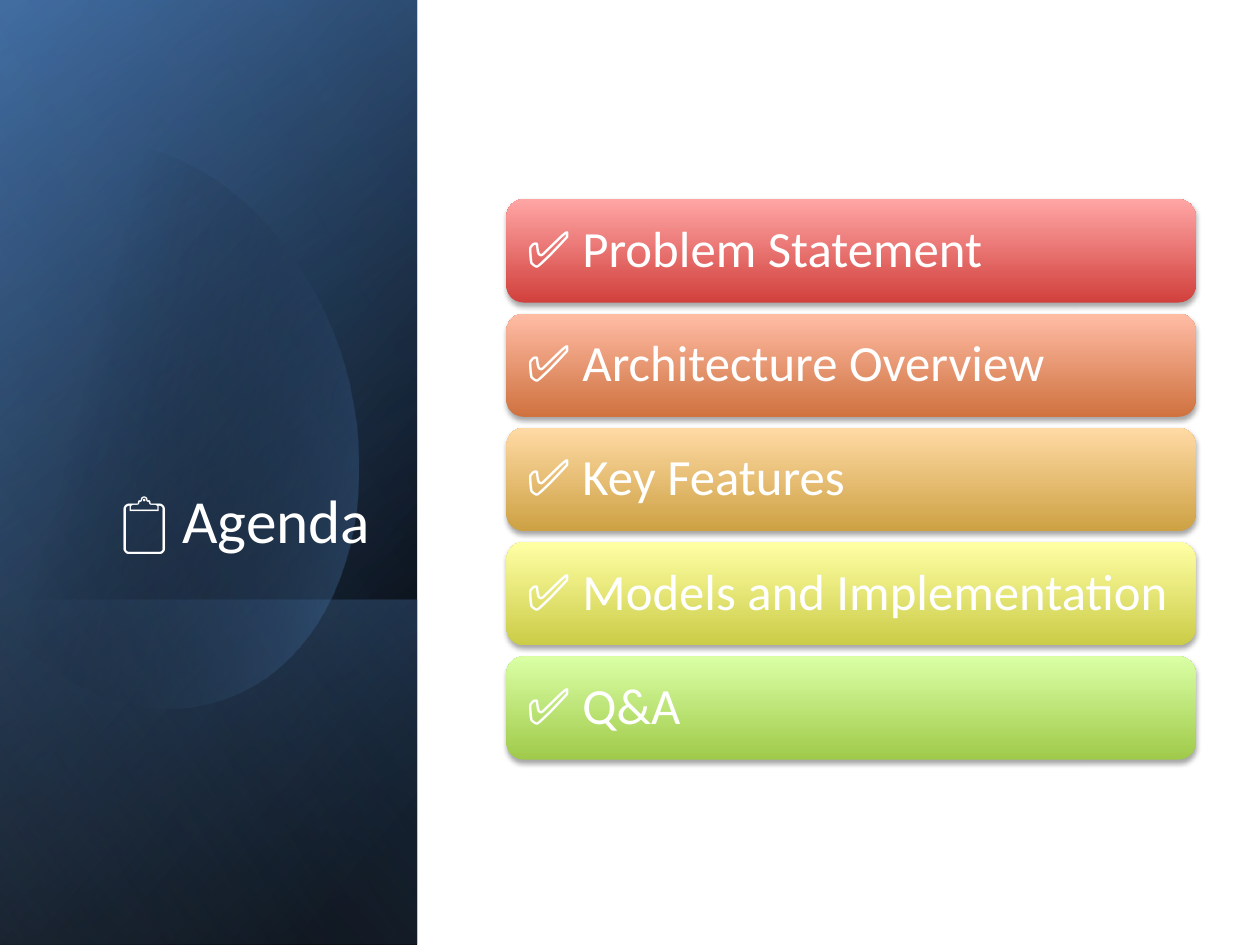
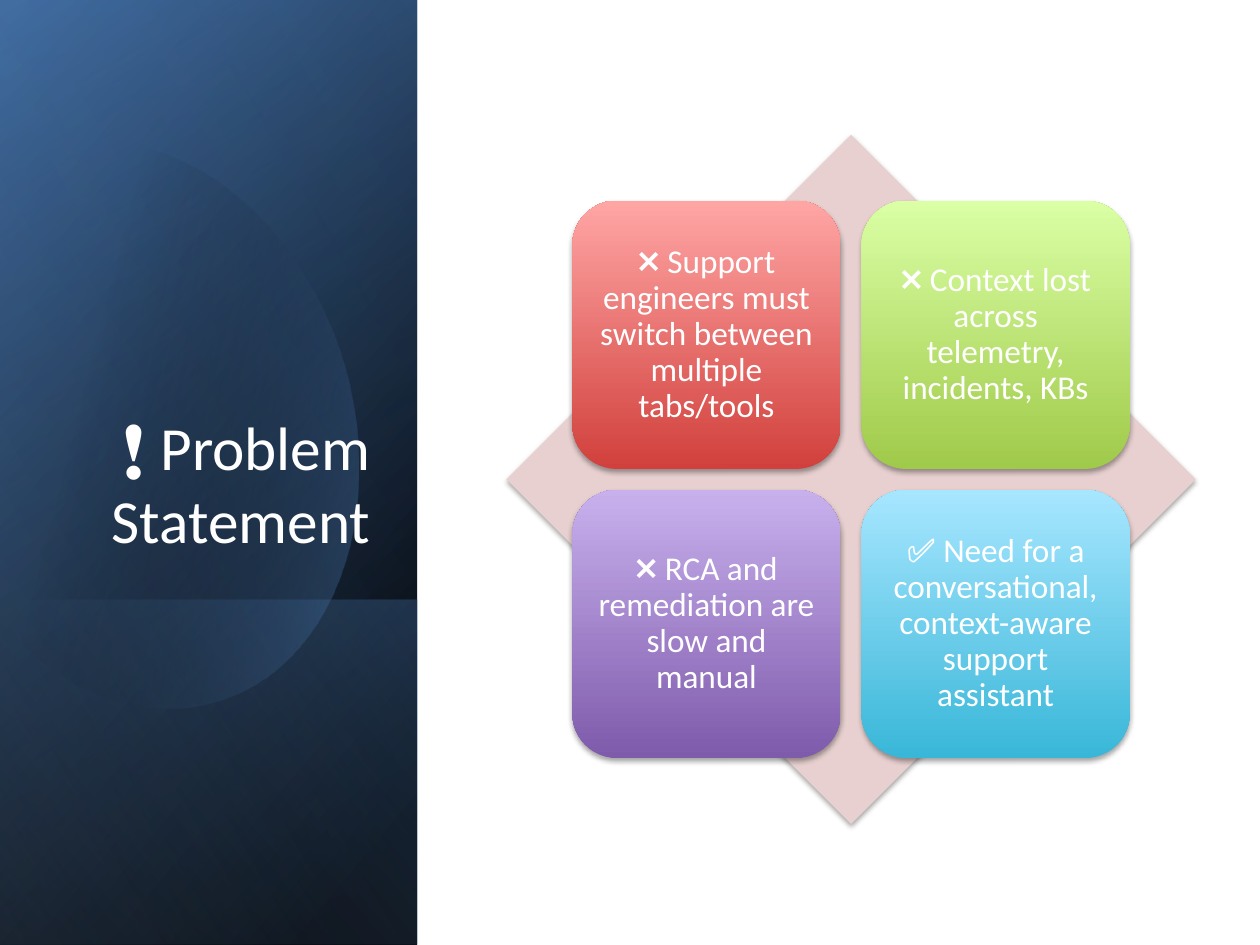
from dataclasses import dataclass
from typing import Any, Iterator, NamedTuple

from lxml.etree import SubElement as Sub
from pptx import Presentation
from pptx.dml.color import RGBColor as Rgb
from pptx.enum.shapes import MSO_SHAPE as Shp
from pptx.enum.text import MSO_ANCHOR as Anchor, MSO_AUTO_SIZE as Fit, PP_ALIGN as Align
from pptx.oxml.ns import qn
from pptx.oxml.xmlchemy import OxmlElement as Oxml
from pptx.util import Inches, Pt

SLIDE_W, SLIDE_H = Inches(10), Inches(7.5)
COLS, ROWS = 100, 75


class Box(NamedTuple):
    """Left, top, width and height in grid units."""
    x: float
    y: float
    w: float
    h: float

    def emu(self) -> tuple[int, ...]:
        """Return the box in slide lengths."""
        return col(self.x), row(self.y), col(self.w), row(self.h)


class Stop(NamedTuple):
    """Gradient stop with position and opacity in percent."""
    pos: int
    color: str
    alpha: int = 100


class Gradient(NamedTuple):
    """Linear gradient with a clockwise angle in degrees."""
    angle: int
    start: Stop
    end: Stop


class Card(NamedTuple):
    """Text of a card with its dark and light shades."""
    text: str
    shades: tuple[str, str]


@dataclass(frozen=True)
class CardGrid:
    """Equal cards laid out in the middle of the content area."""
    cols: int
    rows: int
    w: float
    h: float
    gap: float
    size: int
    margin: float
    align: Any

    def cells(self, area: Box) -> Iterator[Box]:
        """Yield the cells row by row."""
        dx, dy = self.w + self.gap, self.h + self.gap
        left = area.x + (area.w - self.cols * dx + self.gap) / 2
        top = area.y + (area.h - self.rows * dy + self.gap) / 2
        for i in range(self.cols * self.rows):
            r, c = divmod(i, self.cols)
            yield Box(left + c * dx, top + r * dy, self.w, self.h)


@dataclass(frozen=True)
class Theme:
    """Colours, font and type sizes of the deck."""
    font: str = "Calibri"
    title_size: int = 35
    list_size: int = 29
    card_size: int = 19
    text: str = "FFFFFF"
    dark: str = "000000"
    navy: str = "376092"
    blue: str = "4F81BD"
    pale_blue: str = "95B3D7"
    diamond: str = "E8D0D0"
    red: tuple[str, str] = ("D1403C", "FFA6A5")
    orange: tuple[str, str] = ("CF723F", "FFBCA5")
    amber: tuple[str, str] = ("CDA143", "FFDAA5")
    yellow: tuple[str, str] = ("CBCC47", "FFFFA5")
    green: tuple[str, str] = ("A0CA4A", "DAFFA5")
    purple: tuple[str, str] = ("7F5BAB", "C8B0ED")
    cyan: tuple[str, str] = ("39B7D8", "A7E6FF")


T = Theme()
SIDE = Box(0, 0, 33.1, ROWS)
FOOT = Box(0, 47.6, 33.1, 27.4)
TITLE = Box(4.8, 18.4, 25.6, 26.2)
CONTENT = Box(40.2, 10.7, 54.7, 54.7)

BASE_LAYERS = [
    (SIDE, Gradient(220, Stop(8, T.dark), Stop(100, T.navy))),
    (SIDE, Gradient(240, Stop(0, T.dark, 0), Stop(99, T.blue, 46))),
    (FOOT, Gradient(140, Stop(2, T.blue, 29), Stop(100, T.dark, 30))),
]
BLOB_GLOW = Gradient(14, Stop(29, T.dark, 0), Stop(100, T.blue, 43))
TOP_LAYER = (SIDE, Gradient(150, Stop(0, T.dark, 0), Stop(99, T.pale_blue, 11)))

BLOB_START = (9.6, 11.4)
BLOB_CURVES = [
    [(17.1, 12.2), (24.4, 19.2), (27.3, 29)],
    [(30.7, 41.2), (26.2, 53.1), (17.1, 55.7)],
    [(11.4, 57.4), (5.3, 55), (0.7, 50)],
    [(0, 49.2)],
    [(0, 14.1)],
    [(1.1, 13.1), (2.5, 12.4), (4.5, 11.8)],
    [(6.2, 11.3), (7.9, 11.2), BLOB_START],
]

AGENDA_GRID = CardGrid(1, 5, 54.7, 8.2, 0.87, T.list_size, 0.12, Align.LEFT)
PROBLEM_GRID = CardGrid(2, 2, 21.3, 21.3, 1.65, T.card_size, 0.08, Align.CENTER)

AGENDA = [
    Card("✅ Problem Statement", T.red),
    Card("✅ Architecture Overview", T.orange),
    Card("✅ Key Features", T.amber),
    Card("✅ Models and Implementation", T.yellow),
    Card("✅ Q&A", T.green),
]
PROBLEMS = [
    Card("❌ Support engineers must switch between multiple tabs/tools", T.red),
    Card("❌ Context lost across telemetry, incidents, KBs", T.green),
    Card("❌ RCA and remediation are slow and manual", T.purple),
    Card("✅ Need for a conversational, context-aware support assistant", T.cyan),
]


def col(n: float) -> int:
    """Convert grid columns to a slide length."""
    return round(n * SLIDE_W / COLS)


def row(n: float) -> int:
    """Convert grid rows to a slide length."""
    return round(n * SLIDE_H / ROWS)


def apply(obj: Any, values: dict[str, Any]) -> None:
    """Set each named attribute."""
    for name, value in values.items():
        setattr(obj, name, value)


def add_color(parent: Any, color: str, alpha: int) -> None:
    """Append a colour with opacity in percent."""
    clr = Sub(parent, qn("a:srgbClr"), val=color)
    if alpha < 100:
        Sub(clr, qn("a:alpha"), val=str(alpha * 1000))


def paint(s: Any, gradient: Gradient) -> None:
    """Fill a shape with a gradient and drop its outline."""
    s.shadow.inherit = False
    s.line.fill.background()
    s.fill.background()
    fill = Oxml("a:gradFill")
    stops = Sub(fill, qn("a:gsLst"))
    for stop in (gradient.start, gradient.end):
        gs = Sub(stops, qn("a:gs"), pos=str(stop.pos * 1000))
        add_color(gs, stop.color, stop.alpha)
    Sub(fill, qn("a:lin"), ang=str(gradient.angle * 60000), scaled="0")
    pr = s.element.spPr
    pr.replace(pr.find(qn("a:noFill")), fill)


def cast_shadow(s: Any) -> None:
    """Give a shape a soft shadow below."""
    s.shadow.inherit = False
    effects = s.element.spPr.find(qn("a:effectLst"))
    outer = Sub(effects, qn("a:outerShdw"), blurRad=str(Pt(3.1)), dist=str(Pt(1.8)),
                dir=str(90 * 60000), rotWithShape="0")
    add_color(outer, T.dark, 35)


def write(s: Any, text: str, size: int, para: dict[str, Any], frame: dict[str, Any]) -> None:
    """Put one formatted paragraph into a shape."""
    tf = s.text_frame
    apply(tf, {"word_wrap": True, "auto_size": Fit.NONE, **frame})
    p = tf.paragraphs[0]
    apply(p, para)
    r = p.add_run()
    r.text = text
    apply(r.font, {"name": T.font, "size": Pt(size)})
    r.font.color.rgb = Rgb.from_string(T.text)


def add_panel(slide: Any, box: Box, gradient: Gradient) -> None:
    """Draw a gradient rectangle."""
    paint(slide.shapes.add_shape(Shp.RECTANGLE, *box.emu()), gradient)


def bezier(points: list[tuple[float, float]], steps: int = 24) -> Iterator[tuple[int, int]]:
    """Yield slide points along a cubic curve after its start."""
    weights = (1, 3, 3, 1)
    for i in range(1, steps + 1):
        t = i / steps
        x, y = (sum(w * (1 - t) ** (3 - k) * t ** k * pt[axis]
                    for k, (w, pt) in enumerate(zip(weights, points))) for axis in (0, 1))
        yield col(x), row(y)


def add_blob(slide: Any) -> None:
    """Draw the curved glow on the side panel."""
    here, outline = BLOB_START, []
    for part in BLOB_CURVES:
        if len(part) == 3:
            outline += bezier([here, *part])
        else:
            outline.append((col(part[0][0]), row(part[0][1])))
        here = part[-1]
    fb = slide.shapes.build_freeform(col(BLOB_START[0]), row(BLOB_START[1]))
    fb.add_line_segments(outline, close=True)
    paint(fb.convert_to_shape(), BLOB_GLOW)


def add_base(prs: Any, title: str) -> Any:
    """Add a slide with the side panel and its title."""
    slide = prs.slides.add_slide(prs.slide_layouts[6])
    for box, gradient in BASE_LAYERS:
        add_panel(slide, box, gradient)
    add_blob(slide)
    add_panel(slide, *TOP_LAYER)
    write(slide.shapes.add_textbox(*TITLE.emu()), title, T.title_size,
          {"alignment": Align.RIGHT}, {"vertical_anchor": Anchor.BOTTOM})
    return slide


def add_diamond(slide: Any) -> None:
    """Draw the diamond behind the problem cards."""
    s = slide.shapes.add_shape(Shp.DIAMOND, *CONTENT.emu())
    s.fill.solid()
    s.fill.fore_color.rgb = Rgb.from_string(T.diamond)
    s.line.fill.background()
    cast_shadow(s)


def add_cards(slide: Any, grid: CardGrid, cards: list[Card]) -> None:
    """Draw the cards of a grid with their text."""
    sides = ("left", "top", "right", "bottom")
    frame = {f"margin_{side}": Inches(grid.margin) for side in sides}
    frame["vertical_anchor"] = Anchor.MIDDLE
    for card, box in zip(cards, grid.cells(CONTENT)):
        s = slide.shapes.add_shape(Shp.ROUNDED_RECTANGLE, *box.emu())
        dark, light = card.shades
        paint(s, Gradient(270, Stop(0, dark), Stop(100, light)))
        cast_shadow(s)
        write(s, card.text, grid.size, {"alignment": grid.align, "line_spacing": 0.9}, frame)


def main() -> None:
    """Build and save the deck."""
    prs = Presentation()
    apply(prs, {"slide_width": SLIDE_W, "slide_height": SLIDE_H})
    add_cards(add_base(prs, "📋 Agenda"), AGENDA_GRID, AGENDA)
    problem = add_base(prs, "❗ Problem Statement")
    add_diamond(problem)
    add_cards(problem, PROBLEM_GRID, PROBLEMS)
    prs.save("out.pptx")


if __name__ == "__main__":
    main()
